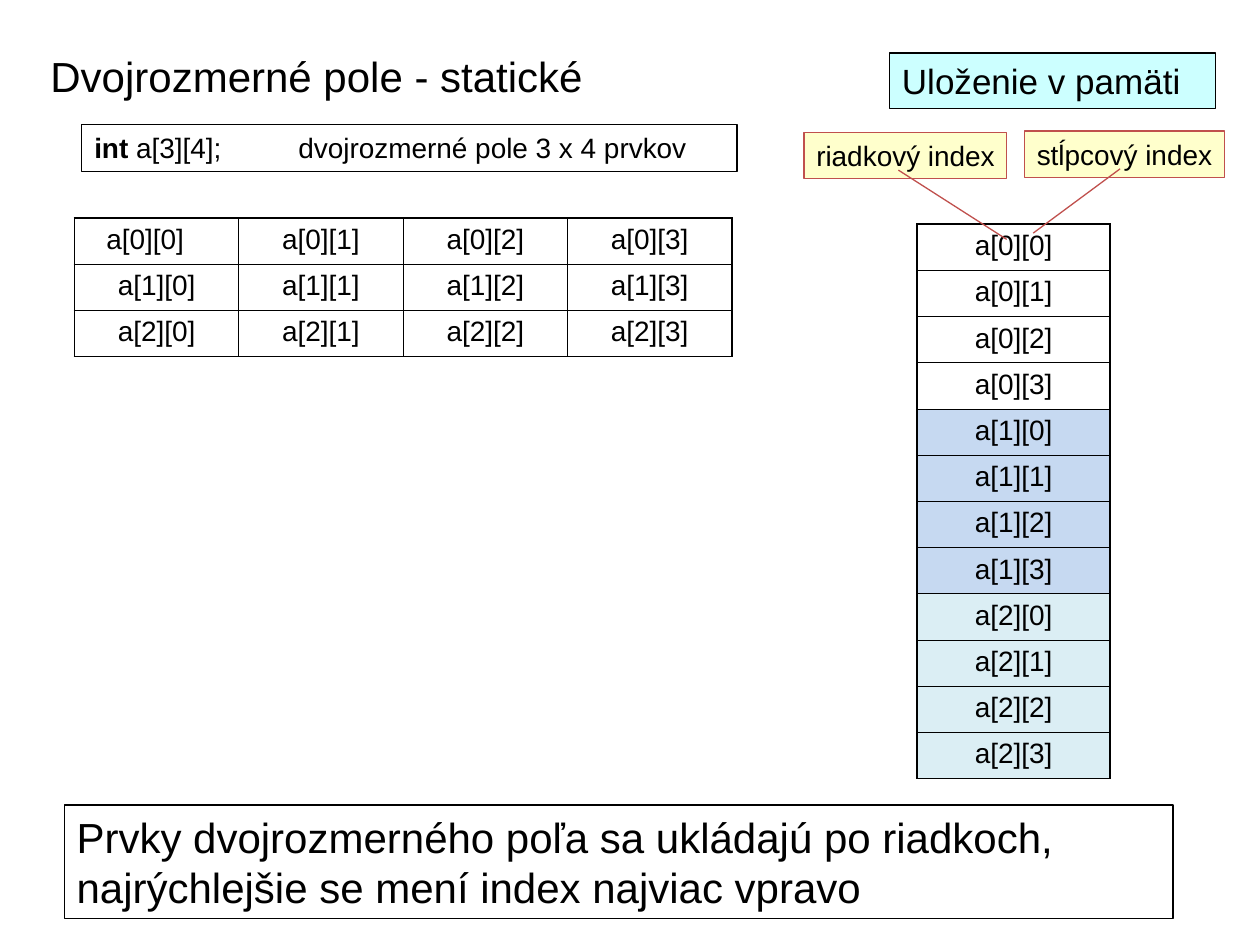
from lxml import etree
from pptx import Presentation
from pptx import util as u
from pptx.dml.color import RGBColor
from pptx.enum import shapes, text
from pptx.oxml.ns import qn

BLACK = RGBColor(0x00, 0x00, 0x00)
WHITE = RGBColor(0xFF, 0xFF, 0xFF)
GRAY = RGBColor(0x80, 0x80, 0x80)
RED = RGBColor(0xC0, 0x50, 0x4D)
YELLOW = RGBColor(0xFF, 0xFF, 0xCC)
CYAN = RGBColor(0xCC, 0xFF, 0xFF)
BLUE = RGBColor(0xC6, 0xD9, 0xF1)
TEAL = RGBColor(0xDB, 0xEE, 0xF4)

ROWS, COLS = 3, 4


def add_color(parent, color):
    fill = etree.SubElement(parent, qn("a:solidFill"))
    etree.SubElement(fill, qn("a:srgbClr"), val=str(color))


class Board:
    """Slide on a grid of 100 columns by 75 rows."""

    font, small, medium, large = "Arial", 16, 20, 24
    thin, thick, outline = 0.45, 1.08, 0.75

    def __init__(self, prs):
        self.dx, self.dy = prs.slide_width / 100, prs.slide_height / 75
        self.s = prs.slides.add_slide(prs.slide_layouts[5])

    def place(self, x, y, w, h):
        return (int(x * self.dx), int(y * self.dy),
                int(w * self.dx), int(h * self.dy))

    def run(self, p, content, size, bold=False):
        r = p.add_run()
        r.text = content
        r.font.name, r.font.size, r.font.bold = self.font, u.Pt(size), bold
        r.font.color.rgb = BLACK

    def style(self, sp, fill, line, wrap=True):
        sp.fill.solid()
        sp.fill.fore_color.rgb = fill
        sp.line.color.rgb = line
        sp.line.width = u.Pt(self.outline)
        tf = sp.text_frame
        tf.word_wrap = wrap
        tf.vertical_anchor = text.MSO_ANCHOR.TOP
        tf.margin_left = tf.margin_right = u.Inches(0.1)
        tf.margin_top = tf.margin_bottom = u.Inches(0.05)
        tf.paragraphs[0].alignment = text.PP_ALIGN.LEFT
        return tf.paragraphs[0]

    def title(self, box, content):
        sp = self.s.shapes.title
        sp.left, sp.top, sp.width, sp.height = self.place(*box)
        self.run(self.style(sp, WHITE, WHITE), content, self.large)

    def box(self, box, lines, size, fill=WHITE, line=BLACK, wrap=True):
        """Each line is a list of (text, bold) runs."""
        sp = self.s.shapes.add_shape(shapes.MSO_SHAPE.RECTANGLE, *self.place(*box))
        sp.shadow.inherit = False
        p = self.style(sp, fill, line, wrap)
        for i, runs in enumerate(lines):
            if i:
                p = sp.text_frame.add_paragraph()
                p.alignment = text.PP_ALIGN.LEFT
            for content, bold in runs:
                self.run(p, content, size, bold)
        return sp

    def shadow(self, sp):
        effects = sp._element.spPr.find(qn("a:effectLst"))
        outer = etree.SubElement(effects, qn("a:outerShdw"), dist=str(u.Pt(1.4)),
                                 dir=str(45 * 60000), algn="ctr", rotWithShape="0")
        add_color(outer, GRAY)

    def tab_stop(self, sp, columns):
        pPr = sp.text_frame.paragraphs[0]._p.get_or_add_pPr()
        tabs = etree.SubElement(pPr, qn("a:tabLst"))
        etree.SubElement(tabs, qn("a:tab"), pos=str(int(columns * self.dx)), algn="l")

    def line(self, x1, y1, x2, y2):
        c = self.s.shapes.add_connector(shapes.MSO_CONNECTOR.STRAIGHT,
                                        *self.place(x1, y1, x2, y2))
        c.line.color.rgb = RED
        c.line.width = u.Pt(self.outline)
        etree.SubElement(c._element.spPr, qn("a:effectLst"))

    def borders(self, cell, outer):
        tcPr = cell._tc.get_or_add_tcPr()
        for side, is_outer in zip("LRTB", outer):
            width = u.Pt(self.thick if is_outer else self.thin)
            add_color(etree.SubElement(tcPr, qn("a:ln" + side), w=str(width)), BLACK)

    def table(self, box, cells):
        """Each cell is a (text, fill) pair."""
        n, m = len(cells), len(cells[0])
        tbl = self.s.shapes.add_table(n, m, *self.place(*box)).table
        tbl.first_row = tbl.horz_banding = False
        for i, row in enumerate(cells):
            for j, (content, fill) in enumerate(row):
                cell = tbl.cell(i, j)
                self.borders(cell, (j == 0, j == m - 1, i == 0, i == n - 1))
                cell.fill.solid()
                cell.fill.fore_color.rgb = fill
                p = cell.text_frame.paragraphs[0]
                p.alignment = text.PP_ALIGN.CENTER
                self.run(p, content, self.small)
        return tbl


def main():
    prs = Presentation()
    prs.slide_width, prs.slide_height = u.Inches(10), u.Inches(7.5)
    b = Board(prs)
    names = [[f"a[{i}][{j}]" for j in range(COLS)] for i in range(ROWS)]

    # Heading and declaration
    b.title((3, 3.5, 52.6, 5), "Dvojrozmerné pole - statické")
    declaration = b.box((6.5, 9.9, 52, 3.7),
                        [[("int", True),
                          (" a[3][4];\tdvojrozmerné pole 3 x 4 prvkov", False)]],
                        b.small)
    b.tab_stop(declaration, 16.2)

    # Array as a matrix
    matrix = b.table((5.9, 17.3, 52.2, 11),
                     [[(name, WHITE) for name in row] for row in names])
    matrix.cell(0, 0).margin_right = u.Inches(0.28)

    # Array as laid out in memory, one colour per array row
    b.table((72.8, 17.8, 15.3, 44),
            [[(name, fill)] for row, fill in zip(names, (WHITE, BLUE, TEAL))
             for name in row])
    memory = b.box((70.6, 4.2, 25.9, 4.4), [[("Uloženie v pamäti", False)]],
                   b.medium, CYAN)
    b.shadow(memory)

    # Index labels with their pointers
    for content, box, pointer in (
            ("riadkový index", (63.8, 10.5, 16.1, 3.7), (71.3, 13.5, 79.9, 19)),
            ("stĺpcový index", (81.3, 10.4, 15.9, 3.7), (88.9, 13.4, 82, 18.5))):
        b.box(box, [[(content, False)]], b.small, YELLOW, RED, wrap=False)
        b.line(*pointer)

    # Conclusion
    b.box((5.1, 63.9, 88, 9),
          [[("Prvky dvojrozmerného poľa sa ukládajú po riadkoch,", False)],
           [("najrýchlejšie se mení index najviac vpravo", False)]], b.large)

    prs.save("out.pptx")


if __name__ == "__main__":
    main()
